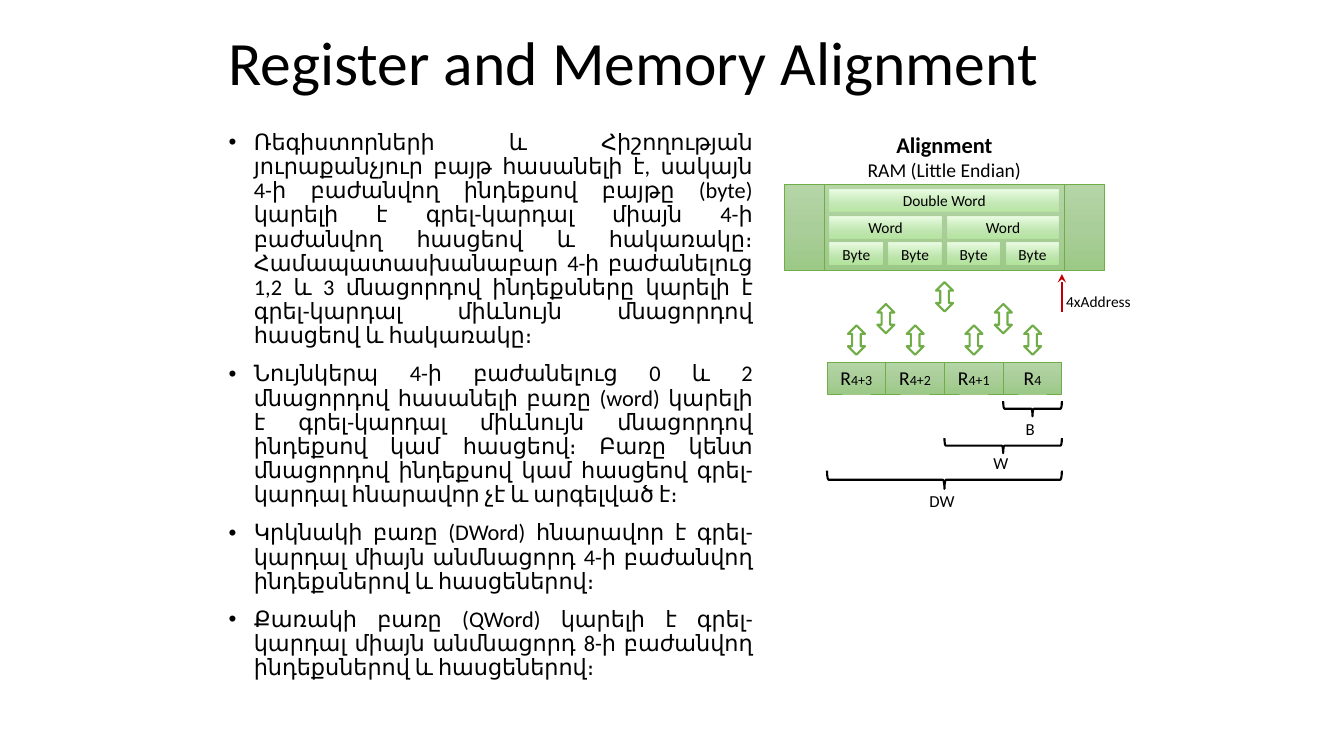
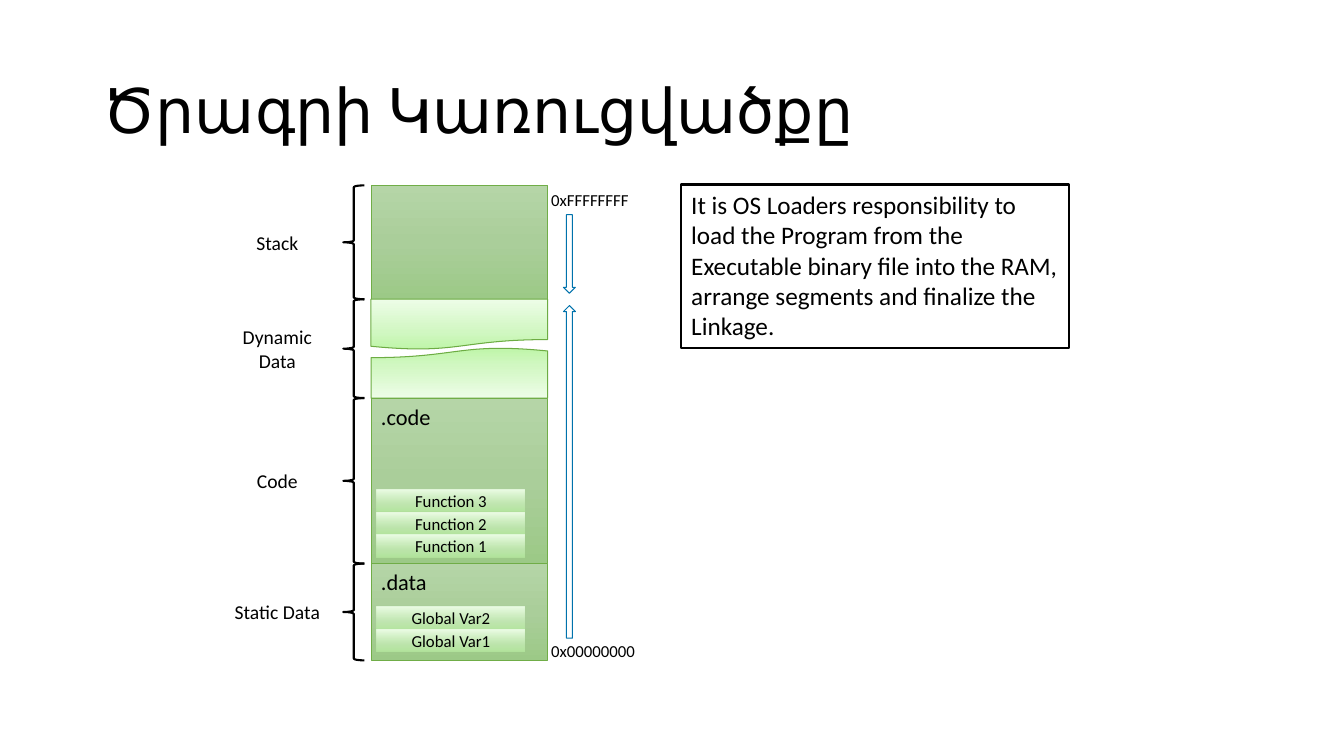
from lxml import etree
from pptx import Presentation
from pptx.dml.color import RGBColor
from pptx.enum.shapes import MSO_CONNECTOR, MSO_SHAPE
from pptx.enum.text import MSO_ANCHOR, PP_ALIGN
from pptx.oxml.ns import qn
from pptx.util import Cm, Pt

RECT, BRACE = MSO_SHAPE.RECTANGLE, MSO_SHAPE.RIGHT_BRACE
PAGE, STORE = MSO_SHAPE.FLOWCHART_DOCUMENT, MSO_SHAPE.FLOWCHART_PREDEFINED_PROCESS
BOTH, DOWN = MSO_SHAPE.UP_DOWN_ARROW, MSO_SHAPE.DOWN_ARROW
LEFT, MID, JUST = PP_ALIGN.LEFT, PP_ALIGN.CENTER, PP_ALIGN.JUSTIFY
TOP, HALF = MSO_ANCHOR.TOP, MSO_ANCHOR.MIDDLE

FONT = "Calibri"
HEX = {"ink": "000000", "white": "FFFFFF", "green": "70AD47",
       "leaf": "6DAC43", "red": "C00000", "blue": "0072AC"}
# Each gradient: angle, then stops of position, colour and opacity in percent
GRADS = {
    "block": (270, [(0, "B5D5A7", 100), (50, "AACE9A", 100), (100, "9CC987", 100)]),
    "pale": (90, [(0, "BEF5A7", 100), (35, "D1F7C2", 100), (100, "EDFDE7", 100)]),
    "glass": (90, [(0, "BEF5A7", 60), (35, "D1F7C2", 60), (100, "EDFDE7", 100)]),
}


def put(slide, kind, box, fill=None, line=None, width=0.5, turn=0):
    """Add a shape, or a text box if kind is None; box is in centimetres."""
    spot = [Cm(n) for n in box]
    if kind is None:
        return slide.shapes.add_textbox(*spot)
    shape = slide.shapes.add_shape(kind, *spot)
    shape.shadow.inherit = False
    shape.rotation = turn
    if fill in GRADS:
        angle, stops = GRADS[fill]
        shape.fill.gradient()
        shape.fill.gradient_angle = angle
        ramp = shape._element.spPr.find(qn("a:gradFill")).find(qn("a:gsLst"))
        ramp.clear()
        for pos, tone, part in stops:
            stop = etree.SubElement(ramp, qn("a:gs"), pos=str(pos * 1000))
            hue = etree.SubElement(stop, qn("a:srgbClr"), val=tone)
            if part < 100:
                etree.SubElement(hue, qn("a:alpha"), val=str(part * 1000))
    elif fill:
        shape.fill.solid()
        shape.fill.fore_color.rgb = RGBColor.from_string(HEX[fill])
    else:
        shape.fill.background()
    if line:
        shape.line.color.rgb = RGBColor.from_string(HEX[line])
        shape.line.width = Pt(width)
    else:
        shape.line.fill.background()
    return shape


def write(shape, text, size, align=LEFT, anchor=TOP, space=1.0):
    """Fill a shape with text in the deck font and return its paragraphs."""
    frame = shape.text_frame
    frame.word_wrap = True
    frame.vertical_anchor = anchor
    frame.text = text
    for para in frame.paragraphs:
        para.alignment = align
        para.line_spacing = space
        for run in para.runs:
            run.font.name = FONT
            run.font.size = Pt(size)
            run.font.color.rgb = RGBColor.from_string(HEX["ink"])
    return frame.paragraphs


deck = Presentation()
deck.slide_width, deck.slide_height = Cm(33.87), Cm(19.05)
blank = deck.slide_layouts[6]
pages = []
for title, box in (("Register and Memory Alignment", (5.51, 0.18, 24.13, 2.97)),
                   ("Ծրագրի Կառուցվածքը", (2.34, 1.02, 29.21, 3.68))):
    page = deck.slides.add_slide(blank)
    write(put(page, None, box), title, 44, anchor=HALF, space=0.9)
    pages.append(page)
align, layout = pages

# Slide 1: rules in words
rules = [
    "Ռեգիստորների և Հիշողության յուրաքանչյուր բայթ հասանելի է, սակայն 4-ի "
    "բաժանվող ինդեքսով բայթը (byte) կարելի է գրել-կարդալ միայն 4-ի բաժանվող "
    "հասցեով և հակառակը։ Համապատասխանաբար 4-ի բաժանելուց 1,2 և 3 մնացորդով "
    "ինդեքսները կարելի է գրել-կարդալ միևնույն մնացորդով հասցեով և հակառակը։",
    "Նույնկերպ 4-ի բաժանելուց 0 և 2 մնացորդով հասանելի բառը (word) կարելի է "
    "գրել-կարդալ միևնույն մնացորդով ինդեքսով կամ հասցեով։ Բառը կենտ մնացորդով "
    "ինդեքսով կամ հասցեով գրել-կարդալ հնարավոր չէ և արգելված է։",
    "Կրկնակի բառը (DWord) հնարավոր է գրել- կարդալ միայն անմնացորդ 4-ի բաժանվող "
    "ինդեքսներով և հասցեներով։",
    "Քառակի բառը (QWord) կարելի է գրել-կարդալ միայն անմնացորդ 8-ի բաժանվող "
    "ինդեքսներով և հասցեներով։",
]
body = put(align, None, (5.51, 3.18, 13.72, 14.1))
for i, para in enumerate(write(body, "\n".join(rules), 16, JUST, space=0.9)):
    props = para._p.get_or_add_pPr()
    props.set("marL", str(Cm(0.64)))
    props.set("indent", str(-Cm(0.64)))
    etree.SubElement(props, qn("a:buFont"), typeface="Arial")
    etree.SubElement(props, qn("a:buChar"), char="•")
    para.space_before = Pt(10 if i else 0)

# Slide 1: memory, drawn on a grid of four byte cells
left, cell = 20.84, 1.48
right = left + 4 * cell
head = write(put(align, None, (21.05, 3.18, 5.5, 1.55)),
             "Alignment\nRAM (Little Endian)", 14, MID)
head[0].runs[0].font.size = Pt(16)
head[0].runs[0].font.bold = True
put(align, STORE, (19.76, 4.65, 8.08, 2.16), "block", "green")
for row, (name, span) in enumerate((("Double Word", 4), ("Word", 2), ("Byte", 1))):
    for x in range(0, 4, span):
        box = (left + x * cell + 0.08, 4.78 + row * 0.67, span * cell - 0.16, 0.56)
        write(put(align, RECT, box, "glass"), name, 11, MID, HALF)

for y, spots in ((7.11, (2,)), (7.66, (1, 3)), (8.2, (0.5, 1.5, 2.5, 3.5))):
    for x in spots:
        put(align, BOTH, (left + x * cell - 0.21, y, 0.43, 0.74), "white", "green", 1.5)

for i, index in enumerate(("4+3", "4+2", "4+1", "4")):
    box = (left + i * cell, 9.12, cell, 0.81)
    para = write(put(align, RECT, box, "block", "green"), "R", 14, MID, HALF)[0]
    run = para.add_run()
    run.text = index
    run.font.name, run.font.size = FONT, Pt(10)
    run.font.color.rgb = RGBColor.from_string(HEX["ink"])

for name, span, y, thick, low in (("B", 1, 10.3, 0.38, 10.8),
                                  ("W", 2, 11.23, 0.38, 11.66),
                                  ("DW", 4, 12.09, 0.46, 12.62)):
    wide = span * cell
    mid = right - wide / 2
    put(align, BRACE, (mid - thick / 2, y - wide / 2, thick, wide),
        line="ink", width=1.5, turn=90)
    write(put(align, None, (mid - 0.81, low - 0.38, 1.5, 0.76)), name, 12, MID)

arrow = align.shapes.add_connector(MSO_CONNECTOR.STRAIGHT,
                                   Cm(right), Cm(7.85), Cm(right), Cm(6.91))
arrow.line.color.rgb = RGBColor.from_string(HEX["red"])
arrow.line.width = Pt(1.5)
etree.SubElement(arrow.line._get_or_add_ln(), qn("a:tailEnd"), type="stealth")
etree.SubElement(arrow._element.spPr, qn("a:effectLst"))
write(put(align, None, (26.62, 7.24, 2.46, 0.74)), "4xAddress", 11)

# Slide 2: program segments from high to low address
side, wide = 9.35, 4.45
edges = [4.67, 7.54, 10.03, 14.2, 16.64]
parts = [("Stack", ""), ("Dynamic\nData", None), ("Code", ".code"), ("Static Data", ".data")]
for (name, mark), top, end in zip(parts, edges, edges[1:]):
    tall = end - top
    if mark is None:
        for y, turn in ((top, 0), (end - 1.27, 180)):
            put(layout, PAGE, (side, y, wide, 1.27), "pale", "leaf", 0.75, turn)
    else:
        block = put(layout, RECT, (side, top, wide, tall), "block", "green")
        if mark:
            write(block, mark, 16)
    put(layout, BRACE, (8.65, top, 0.53, tall), line="ink", width=1.5, turn=180)
    write(put(layout, None, (5.49, top + tall / 2 - 0.75, 3, 1.5)), name, 14, MID, HALF)

for top, names in ((12.34, ("Function 3", "Function 2", "Function 1")),
                   (15.3, ("Global Var2", "Global Var1"))):
    for i, name in enumerate(names):
        bar = put(layout, RECT, (9.5, top + i * 0.57, 3.73, 0.56), "glass")
        write(bar, name, 12, MID, HALF)

for y, name in ((4.65, "0xFFFFFFFF"), (16.03, "0x00000000")):
    write(put(layout, None, (13.64, y, 3.3, 0.76)), name, 12)
for y, tall, turn in ((5.41, 1.98, 0), (7.7, 8.38, 180)):
    put(layout, DOWN, (14.2, y, 0.3, tall), None, "blue", 0.75, turn)

note = put(layout, RECT, (17.17, 4.65, 9.78, 4.11), line="ink", width=1.5)
write(note, "It is OS Loaders responsibility to load the Program from the Executable "
      "binary file into the RAM, arrange segments and finalize the Linkage.", 18)

deck.save("out.pptx")
